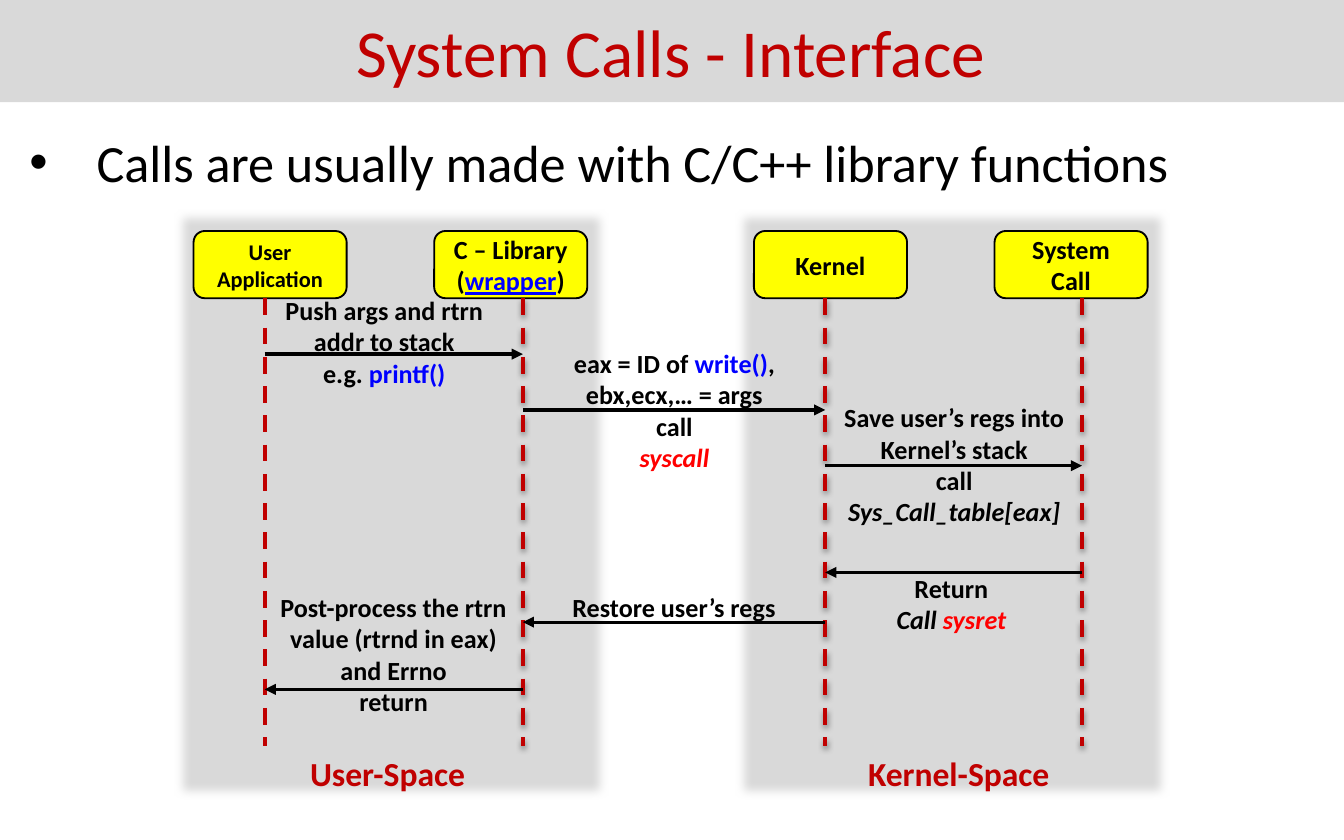
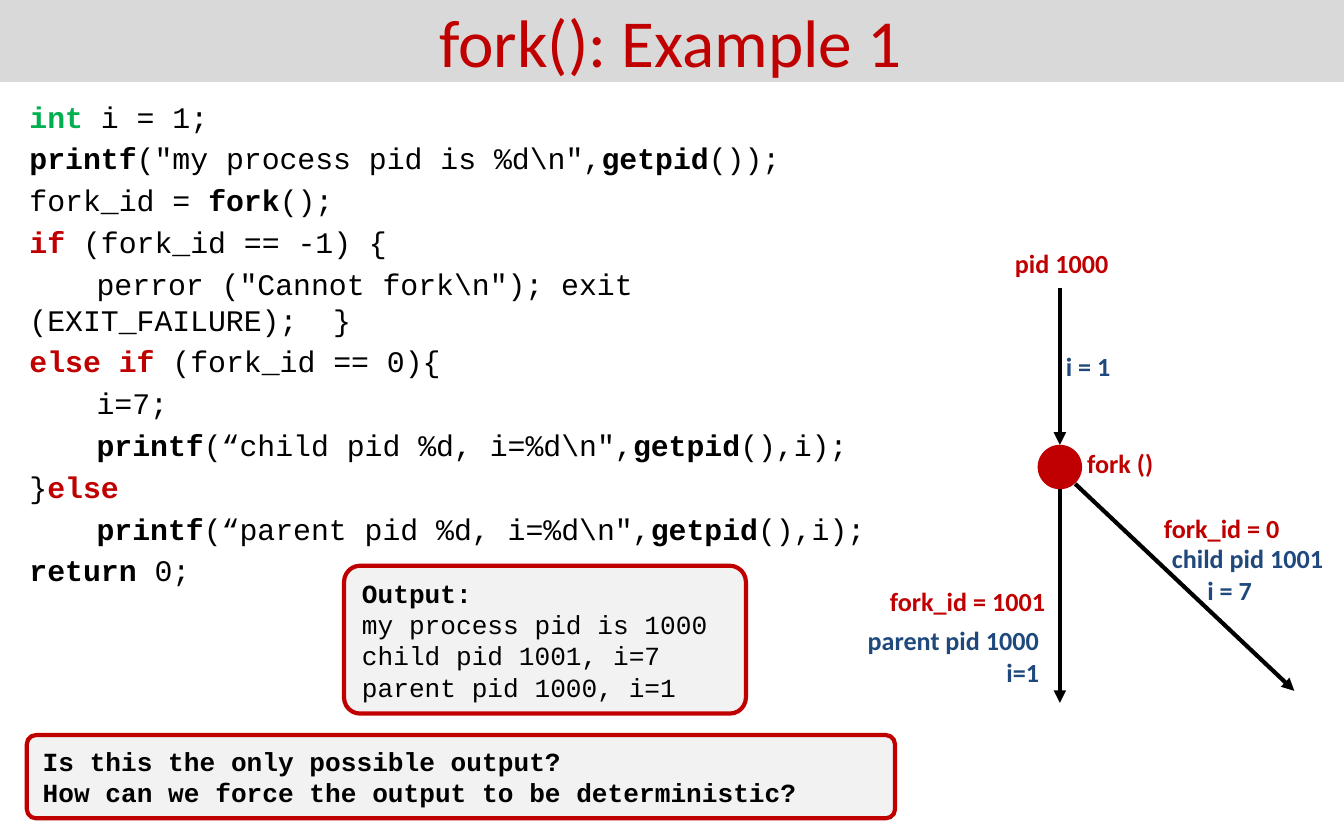
from dataclasses import dataclass, replace
from typing import NamedTuple

from lxml.etree import SubElement
from pptx import Presentation
from pptx.dml.color import RGBColor
from pptx.enum.dml import MSO_LINE
from pptx.enum.shapes import MSO_CONNECTOR, MSO_SHAPE
from pptx.enum.text import MSO_ANCHOR, MSO_AUTO_SIZE, PP_ALIGN
from pptx.oxml.ns import qn
from pptx.util import Pt


@dataclass(frozen=True)
class Style:
    """Look of a run of text."""

    size: float
    color: str = "000000"
    bold: bool = False
    italic: bool = False
    underline: bool = False
    font: str = "Calibri"


class Theme:
    """Colours and type styles shared by the slides."""

    RED, BLACK, BAND, CARD = "C00000", "000000", "D9D9D9", "F2F2F2"
    ACTOR, LINK, ALERT, NAVY, TYPE = "FFFF00", "0000FF", "FF0000", "1F497D", "00B050"
    TITLE = Style(36, RED)
    BULLET = Style(28)
    LABEL = Style(14, bold=True)
    SMALL_LABEL = replace(LABEL, size=12)
    SPACE = Style(18, RED, bold=True)
    CODE = Style(16, font="Courier New")
    OUTPUT = replace(CODE, size=14)
    QUESTION = replace(OUTPUT, bold=True)
    FORK = replace(LABEL, color=RED)
    PROCESS = replace(LABEL, color=NAVY)


class Box(NamedTuple):
    """A rectangle in points."""

    x: float
    y: float
    w: float
    h: float

    def inner(self, x, y, w, h):
        """Return a box placed relative to this one."""
        return Box(self.x + x, self.y + y, w, h)

    def lengths(self):
        """Return the four measures as lengths."""
        return [Pt(value) for value in self]


BOLD = {"bold": True}
KEYWORD = {"bold": True, "color": Theme.RED}
LEFT, CENTER, RIGHT = PP_ALIGN.LEFT, PP_ALIGN.CENTER, PP_ALIGN.RIGHT


def write(frame, paragraphs, style, align=CENTER):
    """Fill a frame; a paragraph is a string or a list of strings and (string, changes)."""
    frame.word_wrap = True
    for index, content in enumerate(paragraphs):
        paragraph = frame.add_paragraph() if index else frame.paragraphs[0]
        paragraph.alignment = align
        for span in [content] if isinstance(content, str) else content:
            words, changes = (span, {}) if isinstance(span, str) else span
            look = replace(style, **changes)
            run = paragraph.add_run()
            run.text = words
            run.font.name, run.font.size = look.font, Pt(look.size)
            run.font.bold, run.font.italic = look.bold, look.italic
            run.font.underline = look.underline
            run.font.color.rgb = RGBColor.from_string(look.color)


def add_label(slide, box, paragraphs, style=Theme.LABEL, align=CENTER):
    """Add a text box and return its frame."""
    frame = slide.shapes.add_textbox(*box.lengths()).text_frame
    write(frame, paragraphs, style, align)
    return frame


def add_block(slide, kind, box, fill, line=None, width=1.0, corner=None):
    """Add a flat preset shape."""
    block = slide.shapes.add_shape(kind, *box.lengths())
    block.shadow.inherit = False
    block.fill.solid()
    block.fill.fore_color.rgb = RGBColor.from_string(fill)
    if line:
        block.line.color.rgb = RGBColor.from_string(line)
        block.line.width = Pt(width)
    else:
        block.line.fill.background()
    if corner is not None:
        block.adjustments[0] = corner
    return block


def add_line(slide, box, start, end, color, width, arrow=True):
    """Add a straight connector between two points relative to the box."""
    points = [Pt(box[axis] + point[axis]) for point in (start, end) for axis in (0, 1)]
    line = slide.shapes.add_connector(MSO_CONNECTOR.STRAIGHT, *points)
    line.line.color.rgb = RGBColor.from_string(color)
    line.line.width = Pt(width)
    if arrow:
        SubElement(line.line._get_or_add_ln(), qn("a:tailEnd"), type="triangle")
    SubElement(line._element.spPr, qn("a:effectLst"))
    return line


def add_line_shadow(line):
    """Give a connector a soft shadow below it."""
    effects = line._element.spPr.find(qn("a:effectLst"))
    shadow = SubElement(effects, qn("a:outerShdw"), blurRad=str(Pt(3.1)), dist=str(Pt(1.6)),
                        dir="5400000", rotWithShape="0")
    color = SubElement(shadow, qn("a:srgbClr"), val=Theme.BLACK)
    SubElement(color, qn("a:alpha"), val="38000")


def add_page(deck, title, band_height, body_box, paragraphs, style):
    """Add a slide with its title band and body text."""
    slide = deck.slides.add_slide(deck.slide_layouts[0])
    band, body = slide.placeholders
    for holder, box in ((band, Box(-1.4, 0, 721.4, band_height)), (body, body_box)):
        holder.left, holder.top, holder.width, holder.height = box.lengths()
        holder.text_frame.auto_size = MSO_AUTO_SIZE.NONE
    band.fill.solid()
    band.fill.fore_color.rgb = RGBColor.from_string(Theme.BAND)
    band.text_frame.vertical_anchor = MSO_ANCHOR.MIDDLE
    write(band.text_frame, [title], Theme.TITLE)
    body.text_frame.vertical_anchor = MSO_ANCHOR.TOP
    write(body.text_frame, paragraphs, style, LEFT)
    return slide, body


def add_bullet(paragraph, indent):
    """Give a paragraph a round bullet and a hanging indent."""
    properties = paragraph._p.get_or_add_pPr()
    properties.set("marL", str(Pt(indent)))
    properties.set("indent", str(Pt(-indent)))
    SubElement(properties, qn("a:buFont"), typeface="Arial")
    SubElement(properties, qn("a:buChar"), char="•")


def draw_space(slide, box, name, name_x, actors):
    """Draw an address space with its two actors and its name."""
    panel = add_block(slide, MSO_SHAPE.ROUNDED_RECTANGLE, box, Theme.BAND, corner=0)
    effects = panel._element.spPr.find(qn("a:effectLst"))
    SubElement(effects, qn("a:softEdge"), rad=str(Pt(5)))
    for column, (actor, style) in enumerate(actors):
        place = box.inner(10.1 + 128.9 * column, 11.5, 82, 36)
        card = add_block(slide, MSO_SHAPE.ROUNDED_RECTANGLE, place, Theme.ACTOR, Theme.BLACK)
        write(card.text_frame, actor, style)
    add_label(slide, box.inner(name_x, 287.3, 167.8, 28.8), [name], Theme.SPACE)


def draw_sequence(slide, box):
    """Draw the call sequence between user space and kernel space."""
    wrapper = ["(", ("wrapper", {"color": Theme.LINK, "underline": True}), ")"]
    user_actors = [(["User Application"], Theme.SMALL_LABEL),
                   (["C – Library", wrapper], Theme.LABEL)]
    kernel_actors = [(["Kernel"], Theme.LABEL), (["System Call"], Theme.LABEL)]
    draw_space(slide, box.inner(0, 0, 232.6, box.h), "User-Space", 30.2, user_actors)
    draw_space(slide, box.inner(300.2, 0, 232.6, box.h), "Kernel-Space", 36, kernel_actors)

    lifelines = user, library, kernel, call = 48.2, 186.5, 348.5, 486
    for x in lifelines:
        lifeline = add_line(slide, box, (x, 47.5), (x, 287.3), Theme.RED, 2.25, arrow=False)
        lifeline.line.dash_style = MSO_LINE.DASH
        if x != user:
            add_line_shadow(lifeline)

    messages = [(user, library, 77.4), (library, kernel, 107.3), (kernel, call, 137.2),
                (call, kernel, 194.4), (kernel, library, 221), (library, user, 257)]
    for sender, receiver, y in messages:
        add_line(slide, box, (sender, y), (receiver, y), Theme.BLACK, 1.75)

    blue, italic = {"color": Theme.LINK}, {"italic": True}
    alert = {"color": Theme.ALERT, "italic": True}
    captions = [
        ((51.1, 41.8, 122.4, 58.3),
         ["Push args and rtrn addr to stack", ["e.g. ", ("printf()", blue)]]),
        ((195, 70.3, 145.4, 75),
         [["eax = ID of ", ("write()", blue), ","], "ebx,ecx,… = args", "call",
          [("syscall", alert)]]),
        ((kernel, 99.4, 138.2, 75),
         ["Save user’s regs into", "Kernel’s stack", "call",
          [("Sys_Call_table[eax]", italic)]]),
        ((347, 190.8, 138.2, 41), ["Return", [("Call ", italic), ("sysret", alert)]]),
        ((library, 200.9, 162, 24.5), ["Restore user’s regs"]),
        ((user, 200.9, 138.2, 75),
         ["Post-process the rtrn value (rtrnd in eax)", "and Errno", "return"]),
    ]
    for place, paragraphs in captions:
        add_label(slide, box.inner(*place), paragraphs)


def draw_card(slide, box, paragraphs, style):
    """Draw a red-edged card with lines of console text."""
    card = add_block(slide, MSO_SHAPE.ROUNDED_RECTANGLE, box, Theme.CARD, Theme.RED, 2.25, 0.109)
    write(card.text_frame, paragraphs, style, LEFT)


def draw_fork_tree(slide, box):
    """Draw the process line that splits into parent and child."""
    trunk, node_top, node_size = 126.4, 109.4, 23.8
    node_bottom = node_top + node_size
    node = add_block(slide, MSO_SHAPE.OVAL,
                     box.inner(trunk - node_size / 2, node_top, node_size, node_size), Theme.RED)
    paths = [((trunk, 25.2), (trunk, node_top)), ((trunk, node_bottom), (trunk, box.h)),
             ((134.6, 130.3), (252, 241.2))]
    before, _, _ = [add_line(slide, box, *ends, Theme.BLACK, 2.25) for ends in paths]
    before.end_connect(node, 0)

    fork_labels = [((94.3, 0, 66.2, 24.5), "pid 1000"),
                   ((167, 141.8, 92.2, 24.5), "fork_id = 0"),
                   ((133.9, 107.3, 49.7, 41), "fork ()"),
                   ((19.4, 181.4, 115.2, 24.5), "fork_id = 1001")]
    for place, words in fork_labels:
        add_label(slide, box.inner(*place), [words], Theme.FORK)
    add_label(slide, box.inner(111.6, 55.4, 59.8, 24), ["i = 1"], Theme.PROCESS)
    add_label(slide, box.inner(0, 202.3, 122.4, 41), ["parent pid 1000", "i=1"],
              Theme.PROCESS, RIGHT)
    child = add_label(slide, box.inner(179.3, 158.4, 102.2, 41), ["child pid 1001", "i = 7"],
                      Theme.PROCESS, LEFT)
    child.paragraphs[1]._p.get_or_add_pPr().set("marL", str(Pt(19)))


def build_interface(deck):
    """Build the slide on the system call interface."""
    slide, body = add_page(deck, "System Calls - Interface", 54.7, Box(8.6, 66.2, 702.7, 374.4),
                           ["Calls are usually made with C/C++ library functions"],
                           Theme.BULLET)
    add_bullet(body.text_frame.paragraphs[0], 36)
    draw_sequence(slide, Box(93.6, 112.3, 532.8, 316.1))


def build_fork(deck):
    """Build the slide with the fork example."""
    getpid = ("getpid", BOLD)
    code = [
        [("int ", {"bold": True, "color": Theme.TYPE}), "i = 1;"],
        [("printf", BOLD), '("my process pid is %d\\n",', getpid, "());"],
        ["fork_id = ", ("fork", BOLD), "();"],
        [("if ", KEYWORD), "(fork_id == -1) {"],
        '\tperror ("Cannot fork\\n"); exit (EXIT_FAILURE);  }',
        [("else if ", KEYWORD), "(fork_id == 0){"],
        "\ti=7;",
        [("\tprintf", BOLD), '(“child pid %d, i=%d\\n",', getpid, "(),i);"],
        ["}", ("else", KEYWORD)],
        [("\tprintf", BOLD), '(“parent pid %d, i=%d\\n",', getpid, "(),i);"],
        [("return", BOLD), " 0;"],
    ]
    slide, _ = add_page(deck, "fork(): Example 1", 43.9, Box(8.6, 49, 517, 221.8),
                        code, Theme.CODE)
    draw_card(slide, Box(184.3, 303.1, 215.3, 79.2),
              [[("Output:", BOLD)], "my process pid is 1000", "child pid 1001, i=7",
               "parent pid 1000, i=1"], Theme.OUTPUT)
    draw_card(slide, Box(14.4, 393.8, 465.1, 44.6),
              ["Is this the only possible output?",
               "How can we force the output to be deterministic?"], Theme.QUESTION)
    draw_fork_tree(slide, Box(441.4, 128.9, 281.5, 247.7))


def main():
    """Build and save the deck."""
    deck = Presentation()
    deck.slide_width, deck.slide_height = Pt(720), Pt(450)
    build_interface(deck)
    build_fork(deck)
    deck.save("out.pptx")


if __name__ == "__main__":
    main()
